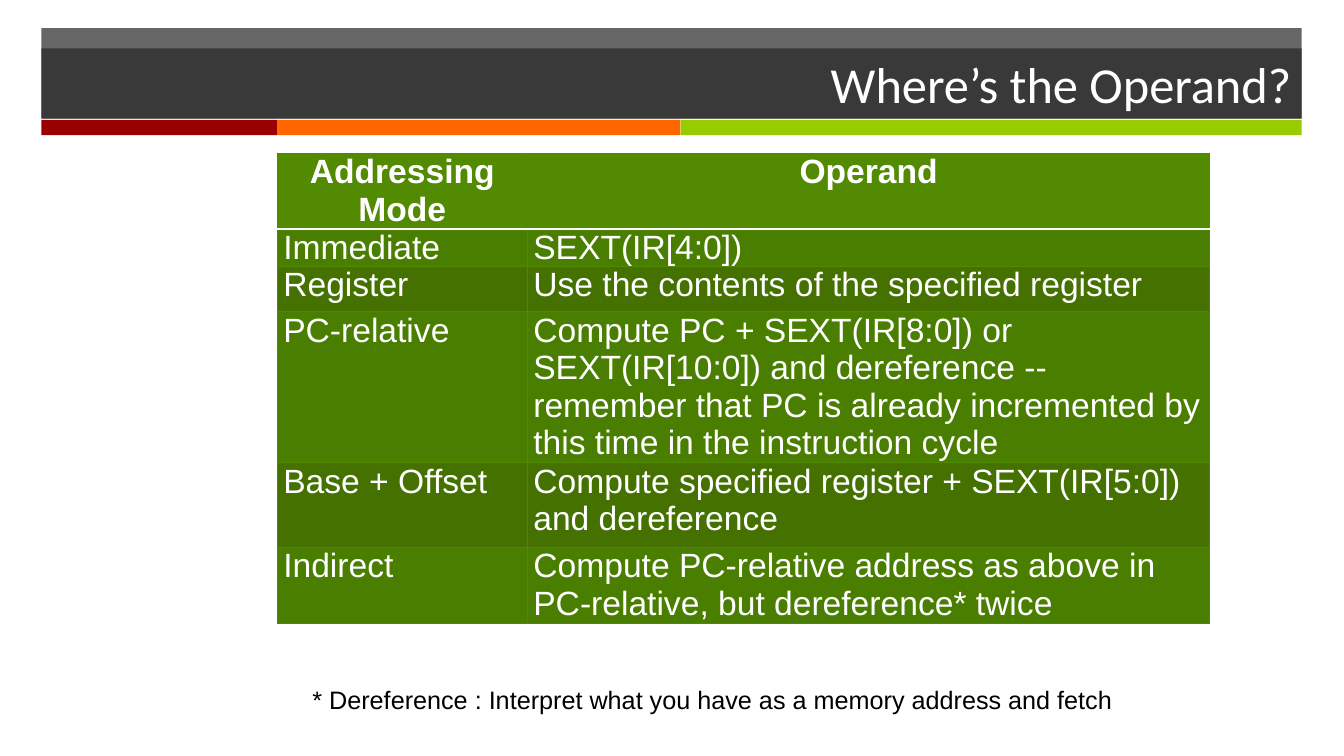
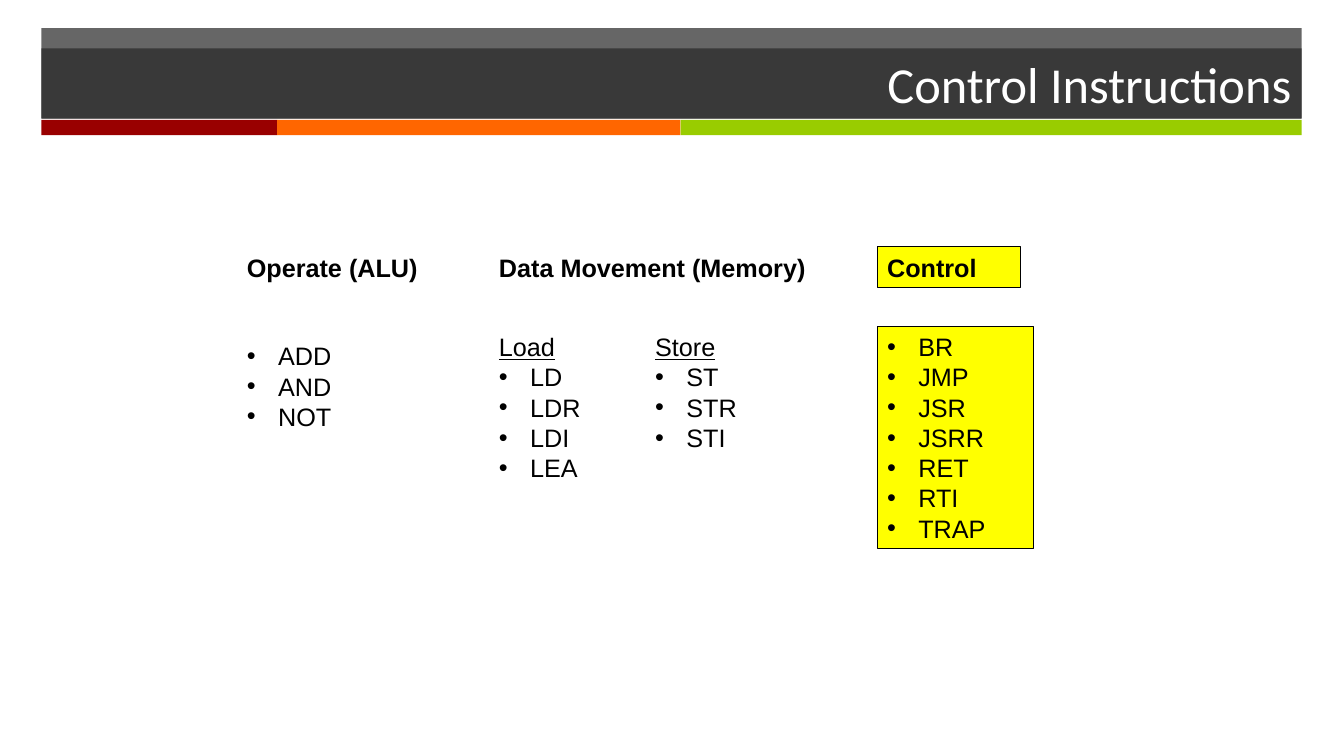
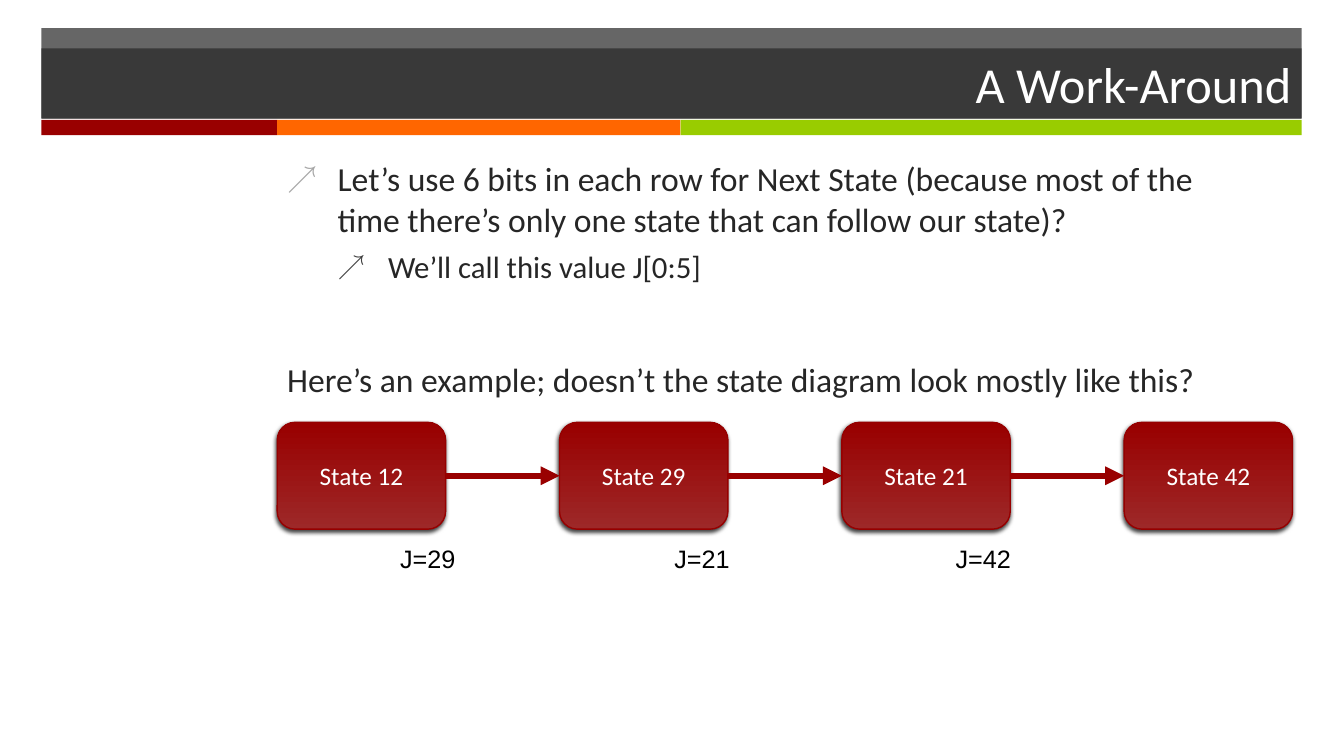
from lxml import etree
from pptx import Presentation
from pptx.dml.color import RGBColor
from pptx.enum.shapes import MSO_CONNECTOR, MSO_SHAPE
from pptx.enum.text import MSO_ANCHOR, MSO_AUTO_SIZE, PP_ALIGN
from pptx.oxml import parse_xml
from pptx.oxml.ns import nsdecls, qn
from pptx.util import Inches, Pt

WHITE, BLACK, CHARCOAL = "FFFFFF", "000000", "262626"
RED, ORANGE, LIME, YELLOW = "990000", "FF6600", "99CC00", "FFFF00"
HEADER_GREEN, ROW_GREENS, GRID_GREEN = "528A02", ("4A7E01", "447100"), "518900"
BODY_FONT, LABEL_FONT = "Calibri", "Arial"
BAND_LEFT, BAND_WIDTH = 0.41, 12.5

OPERANDS = [
    ("Addressing Mode", "Operand"),
    ("Immediate", "SEXT(IR[4:0])"),
    ("Register", "Use the contents of the specified register"),
    ("PC-relative", "Compute PC + SEXT(IR[8:0]) or SEXT(IR[10:0]) and dereference -- "
                    "remember that PC is already incremented by this time in the instruction cycle"),
    ("Base + Offset", "Compute specified register + SEXT(IR[5:0]) and dereference"),
    ("Indirect", "Compute PC-relative address as above in PC-relative, but dereference* twice"),
]


def rgb(hex_color):
    return RGBColor.from_string(hex_color)


def box(left, top, width, height):
    return [Inches(length) for length in (left, top, width, height)]


def child(parent, tag, **attributes):
    return etree.SubElement(parent, qn(tag), attributes)


def paint(shape, color, alpha=None):
    """Fill a shape with one colour; alpha is the opacity in percent."""
    shape.fill.solid()
    shape.fill.fore_color.rgb = rgb(color)
    if alpha:
        color_node = shape.fill._xPr.find(qn("a:solidFill"))[0]
        child(color_node, "a:alpha", val=str(alpha * 1000))


def add_run(paragraph, text, size, color=BLACK, font=LABEL_FONT, bold=False, underline=False):
    run = paragraph.add_run()
    run.text = text
    run.font.size, run.font.name = Pt(size), font
    run.font.color.rgb = rgb(color)
    run.font.bold, run.font.underline = bold, underline


def add_bullet(paragraph, char, left, hanging, color=None, percent=None):
    """Give a paragraph a bullet, with its indents in inches."""
    props = paragraph._p.get_or_add_pPr()
    props.set("marL", str(Inches(left)))
    props.set("indent", str(-Inches(hanging)))
    if color:
        child(child(props, "a:buClr"), "a:srgbClr", val=color)
    if percent:
        child(props, "a:buSzPct", val=str(percent * 1000))
    child(props, "a:buFont", typeface=LABEL_FONT)
    child(props, "a:buChar", char=char)


def add_text_frame(slide, left, top, width, height, grow=True):
    area = slide.shapes.add_textbox(*box(left, top, width, height))
    area.text_frame.word_wrap = True
    if grow:
        area.text_frame.auto_size = MSO_AUTO_SIZE.SHAPE_TO_FIT_TEXT
    return area


def add_label(slide, text, left, top, width, bold=False):
    label = add_text_frame(slide, left, top, width, 0.4)
    add_run(label.text_frame.paragraphs[0], text, 18, bold=bold)
    return label


def add_opcodes(slide, opcodes, left, top, heading=None):
    """Add a bulleted list of opcodes, under an underlined heading if there is one."""
    lines = ([heading] if heading else []) + opcodes.split()
    listing = add_text_frame(slide, left, top, 1.55, 0.1 + 0.3 * len(lines))
    frame = listing.text_frame
    for index, line in enumerate(lines):
        paragraph = frame.add_paragraph() if index else frame.paragraphs[0]
        if line != heading:
            add_bullet(paragraph, "•", 0.31, 0.31)
        add_run(paragraph, line, 18, underline=line == heading)
    return listing


def highlight(shape):
    paint(shape, YELLOW)
    shape.line.color.rgb = rgb(BLACK)
    shape.line.width = Pt(0.75)


def add_bands(slide, layout):
    """Draw the header bands and move them to the layout that all slides share."""
    bands = [(BAND_LEFT, 0.28, BAND_WIDTH, 0.89, CHARCOAL, 70)]
    left = BAND_LEFT
    for width, color in ((2.34, RED), (4, ORANGE), (6.16, LIME)):
        bands.append((left, 1.19, width, 0.15, color, None))
        left += width
    for *place, color, alpha in bands:
        band = slide.shapes.add_shape(MSO_SHAPE.RECTANGLE, *box(*place))
        band.shadow.inherit = False
        paint(band, color, alpha)
        band.line.fill.background()
        layout.shapes.element.append(band.element)


def add_titled_slide(deck, layout, text):
    slide = deck.slides.add_slide(layout)
    title = slide.shapes.title
    title.left, title.top, title.width, title.height = box(BAND_LEFT, 0.48, BAND_WIDTH, 0.7)
    paint(title, CHARCOAL, 70)
    title.text_frame.vertical_anchor = MSO_ANCHOR.MIDDLE
    paragraph = title.text_frame.paragraphs[0]
    paragraph.alignment = PP_ALIGN.RIGHT
    add_run(paragraph, text, 36, WHITE, BODY_FONT)
    return slide


def set_borders(cell, **special):
    """Draw the four cell borders; special maps a side to its (colour, points)."""
    props = cell._tc.get_or_add_tcPr()
    for index, side in enumerate("LRTB"):
        color, points = special.get(side, (GRID_GREEN, 1))
        props.insert(index, parse_xml(
            f'<a:ln{side} {nsdecls("a")} w="{Pt(points)}"><a:solidFill>'
            f'<a:srgbClr val="{color}"/></a:solidFill></a:ln{side}>'))


def add_operand_table(slide):
    widths, heights = (2.48, 6.77), (0.75, 0.37, 0.45, 1.5, 0.84, 0.75)
    table = slide.shapes.add_table(
        len(heights), len(widths), *box(2.75, 1.52, sum(widths), sum(heights))).table
    for column, width in zip(table.columns, widths):
        column.width = Inches(width)
    header_rule = (WHITE, 2)
    for index, (row, height, texts) in enumerate(zip(table.rows, heights, OPERANDS)):
        row.height = Inches(height)
        header = index == 0
        for cell, text in zip(row.cells, texts):
            paint(cell, HEADER_GREEN if header else ROW_GREENS[(index - 1) % 2])
            set_borders(cell, **({"B": header_rule} if header else
                                 {"T": header_rule} if index == 1 else {}))
            cell.margin_left = cell.margin_right = Inches(0.06)
            cell.margin_top = cell.margin_bottom = 0
            paragraph = cell.text_frame.paragraphs[0]
            paragraph.alignment = PP_ALIGN.CENTER if header else PP_ALIGN.LEFT
            add_run(paragraph, text, 24, WHITE, bold=header)


def add_state(slide, name, left, top, width, height):
    state = slide.shapes.add_shape(MSO_SHAPE.ROUNDED_RECTANGLE, *box(left, top, width, height))
    state.fill.gradient()
    state.fill.gradient_angle = 90
    for stop, color in zip(state.fill.gradient_stops, ("9D2828", RED)):
        stop.color.rgb = rgb(color)
    state.line.color.rgb = rgb("960000")
    state.line.width = Pt(1)
    state.shadow.inherit = False
    shadow = child(state.element.spPr.find(qn("a:effectLst")), "a:outerShdw", blurRad=str(Pt(3)),
                   dist=str(Pt(2)), dir=str(110 * 60000), rotWithShape="0")
    child(child(shadow, "a:srgbClr", val=BLACK), "a:alpha", val="75000")
    state.text_frame.vertical_anchor = MSO_ANCHOR.MIDDLE
    paragraph = state.text_frame.paragraphs[0]
    paragraph.alignment = PP_ALIGN.CENTER
    add_run(paragraph, name, 18, WHITE, BODY_FONT)
    return state


def add_arrow(slide, source, target):
    """Connect the right side of one state to the left side of the next."""
    arrow = slide.shapes.add_connector(MSO_CONNECTOR.STRAIGHT, 0, 0, 0, 0)
    arrow.begin_connect(source, 3)
    arrow.end_connect(target, 1)
    arrow.line.color.rgb = rgb(RED)
    arrow.line.width = Pt(4.5)
    child(arrow.line._get_or_add_ln(), "a:tailEnd", type="triangle")
    child(arrow.element.spPr, "a:effectLst")


def add_state_chain(slide):
    left, top, width, height, pitch = 2.75, 4.19, 1.67, 1.06, 2.8
    states = [add_state(slide, f"State {number}", left + index * pitch, top, width, height)
              for index, number in enumerate((12, 29, 21, 42))]
    for source, target in zip(states, states[1:]):
        add_arrow(slide, source, target)
    for next_state, label_left in ((29, 3.87), (21, 6.59), (42, 9.38)):
        add_label(slide, f"J={next_state}", label_left, 5.34, 1.27)


def add_explanation(slide):
    frame = add_text_frame(slide, 2.75, 1.52, 9.25, 2.58, grow=False).text_frame
    idea, value, example = frame.paragraphs[0], frame.add_paragraph(), frame.add_paragraph()
    add_bullet(idea, "↗", 0.5, 0.5, "A6A6A6", 90)
    add_run(idea, "Let’s use 6 bits in each row for Next State (because most of the time "
                  "there’s only one state that can follow our state)?", 24, CHARCOAL, BODY_FONT)
    value.level = 1
    value.space_before = Pt(6)
    add_bullet(value, "↗", 1, 0.5, "404040", 90)
    add_run(value, "We’ll call this value J[0:5]", 22, CHARCOAL, BODY_FONT)
    example.space_before = Pt(53)
    add_run(example, "Here’s an example; doesn’t the state diagram look mostly like this?",
            24, CHARCOAL, BODY_FONT)


def build_operand_slide(slide):
    add_operand_table(slide)
    add_label(slide, "* Dereference : Interpret what you have as a memory address and fetch",
              3, 6.74, 9)


def build_control_slide(slide):
    operate, load, store, control = 2.35, 4.85, 6.4, 8.7
    heading_top, list_top = 2.45, 3.24
    add_label(slide, "Operate (ALU)", operate, heading_top, 1.9, bold=True)
    add_label(slide, "Data Movement (Memory)", load, heading_top, 3.32, bold=True)
    highlight(add_label(slide, "Control", control, heading_top, 1.42, bold=True))
    add_opcodes(slide, "ADD AND NOT", operate, 3.33)
    add_opcodes(slide, "LD LDR LDI LEA", load, list_top, "Load")
    add_opcodes(slide, "ST STR STI", store, list_top, "Store")
    highlight(add_opcodes(slide, "BR JMP JSR JSRR RET RTI TRAP", control, list_top))


def build_work_around_slide(slide):
    add_explanation(slide)
    add_state_chain(slide)


def main():
    deck = Presentation()
    deck.slide_width, deck.slide_height = Inches(13.33), Inches(7.5)
    layout = deck.slide_layouts.get_by_name("Title Only")
    operand = add_titled_slide(deck, layout, "Where’s the Operand?")
    add_bands(operand, layout)
    build_operand_slide(operand)
    build_control_slide(add_titled_slide(deck, layout, "Control Instructions"))
    build_work_around_slide(add_titled_slide(deck, layout, "A Work-Around"))
    deck.save("out.pptx")


if __name__ == "__main__":
    main()
